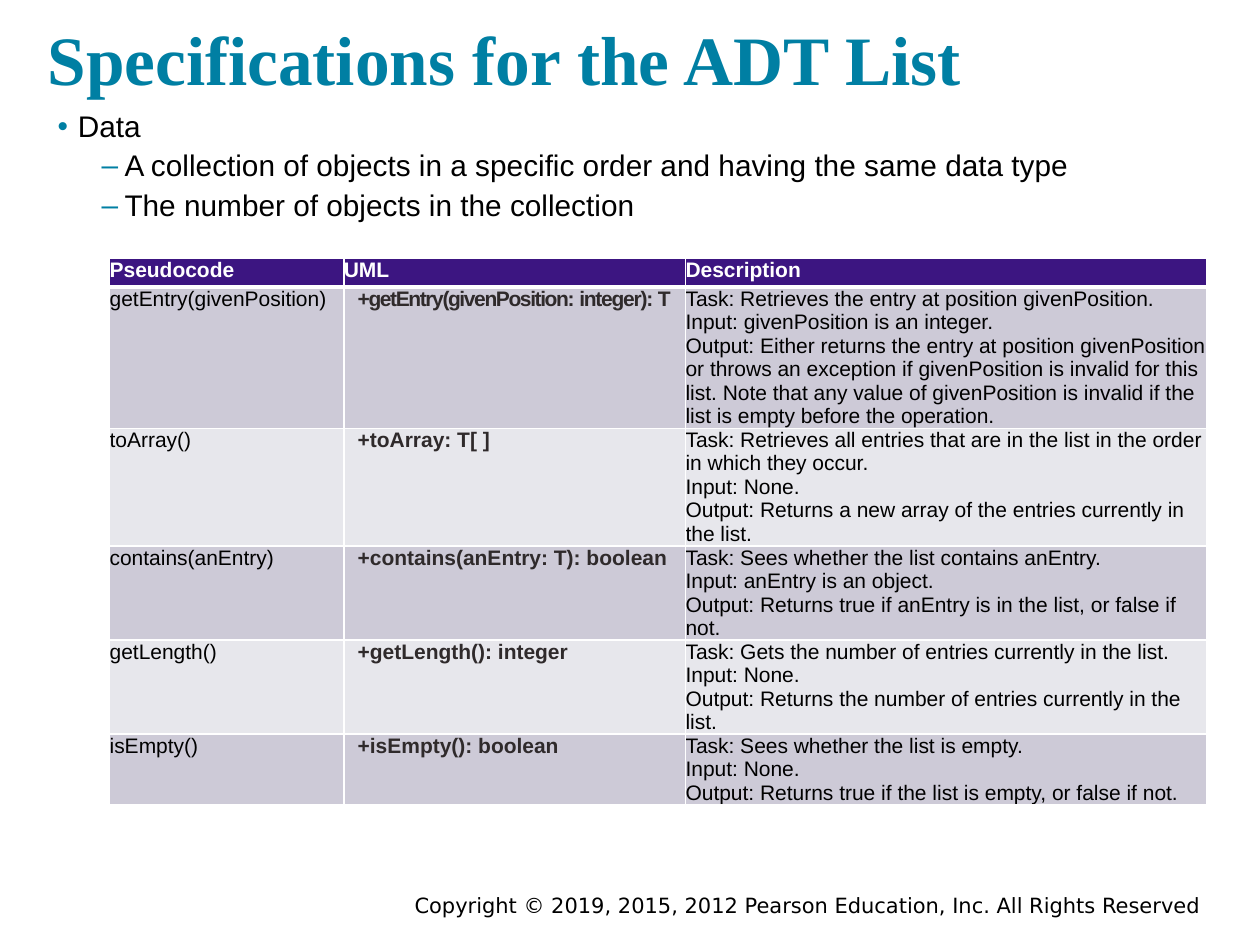
from lxml import etree
from pptx import Presentation
from pptx.dml.color import RGBColor
from pptx.enum.text import MSO_ANCHOR, MSO_AUTO_SIZE, PP_ALIGN
from pptx.oxml.ns import qn
from pptx.util import Cm, Pt

LEFT, RIGHT = PP_ALIGN.LEFT, PP_ALIGN.RIGHT
TOP, BOTTOM = MSO_ANCHOR.TOP, MSO_ANCHOR.BOTTOM
NO_FIT = MSO_AUTO_SIZE.NONE
TEAL = RGBColor(0x00, 0x7F, 0xA3)
BLACK = RGBColor(0x00, 0x00, 0x00)
WHITE = RGBColor(0xFF, 0xFF, 0xFF)
DARK = RGBColor(0x2F, 0x2A, 0x2B)
PURPLE = RGBColor(0x3C, 0x15, 0x81)
BANDS = (RGBColor(0xCD, 0xCA, 0xD7), RGBColor(0xE7, 0xE7, 0xEC))

POINTS = [
    (0, "Data"),
    (1, "A collection of objects in a specific order and having the same data type"),
    (1, "The number of objects in the collection"),
]
BULLETS = (("•", 0.61, -0.41), ("–", 1.55, -0.46))
WIDTHS = (4.72, 6.89, 10.5)
HEADS = ("Pseudocode", "UML", "Description")
ROWS = [
    ("getEntry(givenPosition)",
     [("+getEntry(givenPosition: ", -80), ("integer): ", -70), ("T", -80)],
     ["Task: Retrieves the entry at position givenPosition.",
      "Input: givenPosition is an integer.",
      "Output: Either returns the entry at position givenPosition or throws an "
      "exception if givenPosition is invalid for this list. Note that any value of "
      "givenPosition is invalid if the list is empty before the operation."]),
    ("toArray()", [("+toArray: T[ ]", 0)],
     ["Task: Retrieves all entries that are in the list in the order in which they occur.",
      "Input: None.",
      "Output: Returns a new array of the entries currently in the list."]),
    ("contains(anEntry)", [("+contains(anEntry: T): boolean", 0)],
     ["Task: Sees whether the list contains anEntry.",
      "Input: anEntry is an object.",
      "Output: Returns true if anEntry is in the list, or false if not."]),
    ("getLength()", [("+getLength(): integer", 0)],
     ["Task: Gets the number of entries currently in the list.",
      "Input: None.",
      "Output: Returns the number of entries currently in the list."]),
    ("isEmpty()", [("+isEmpty(): boolean", 0)],
     ["Task: Sees whether the list is empty.",
      "Input: None.",
      "Output: Returns true if the list is empty, or false if not."]),
]


def place(shape, left, top, width, height):
    """Move and size a shape, in centimetres."""
    shape.left, shape.top = Cm(left), Cm(top)
    shape.width, shape.height = Cm(width), Cm(height)


def pad(item, inset):
    """Give a text frame or cell the same inset on all sides."""
    item.margin_left = item.margin_right = Cm(inset)
    item.margin_top = item.margin_bottom = Cm(inset)


def add_run(para, text, size, color, bold=False, face="Arial", track=0):
    """Add one formatted run to a paragraph."""
    run = para.add_run()
    run.text = text
    font = run.font
    font.name, font.size, font.bold = face, Pt(size), bold
    font.color.rgb = color
    if track:
        run._r.get_or_add_rPr().set("spc", str(track))


def indent(para, left, first=0):
    """Set the left margin and first-line indent of a paragraph."""
    props = para._p.get_or_add_pPr()
    props.set("marL", str(Cm(left)))
    props.set("indent", str(Cm(first)))
    return props


def add_title(slide):
    """Fill the title placeholder."""
    title = slide.shapes.title
    place(title, 0.71, 0, 23.65, 2.26)
    frame = title.text_frame
    frame.auto_size, frame.vertical_anchor = NO_FIT, BOTTOM
    pad(frame, 0.25)
    para = frame.paragraphs[0]
    para.alignment = LEFT
    add_run(para, "Specifications for the ADT List", 39.6, TEAL, True, "Times New Roman")


def add_list(slide):
    """Fill the body placeholder with the bulleted points."""
    body = slide.placeholders[1]
    place(body, 0.71, 2.01, 22.86, 2.92)
    frame = body.text_frame
    frame.auto_size, frame.vertical_anchor = NO_FIT, TOP
    pad(frame, 0.25)
    for i, (level, text) in enumerate(POINTS):
        para = frame.add_paragraph() if i else frame.paragraphs[0]
        mark, left, first = BULLETS[level]
        props = indent(para, left, first)
        tint = etree.SubElement(props, qn("a:buClr"))
        etree.SubElement(tint, qn("a:srgbClr"), val=str(TEAL))
        etree.SubElement(props, qn("a:buFont"), typeface="Arial")
        etree.SubElement(props, qn("a:buChar"), char=mark)
        para.level = level
        para.line_spacing = 0.9
        para.space_before = Pt(4 if i else 0)
        add_run(para, text, 17, BLACK)


def style_cell(cell, fill, top=1, bottom=1):
    """Set the borders, insets and fill of a cell."""
    props = cell._tc.get_or_add_tcPr()
    for side, width in (("L", 1), ("R", 1), ("T", top), ("B", bottom)):
        line = etree.SubElement(props, qn("a:ln" + side), w=str(Pt(width)))
        solid = etree.SubElement(line, qn("a:solidFill"))
        etree.SubElement(solid, qn("a:srgbClr"), val=str(WHITE))
    pad(cell, 0)
    cell.fill.solid()
    cell.fill.fore_color.rgb = fill
    return cell.text_frame.paragraphs[0]


def add_grid(slide):
    """Add the table of list operations."""
    count = len(ROWS) + 1
    frame = slide.shapes.add_table(
        count, len(HEADS), Cm(2.21), Cm(5.21), Cm(sum(WIDTHS)), Cm(0.58 * count))
    table = frame.table
    for col, width in zip(table.columns, WIDTHS):
        col.width = Cm(width)
    for j, head in enumerate(HEADS):
        para = style_cell(table.cell(0, j), PURPLE, bottom=3)
        add_run(para, head, 12, WHITE, True)
    for i, (call, uml, notes) in enumerate(ROWS, 1):
        name, sign, about = [
            style_cell(table.cell(i, j), BANDS[(i - 1) % 2], top=3 if i == 1 else 1)
            for j in range(len(HEADS))]
        add_run(name, call, 12, BLACK)
        indent(sign, 0.28)
        for text, track in uml:
            add_run(sign, text, 12, DARK, True, track=track)
        for k, note in enumerate(notes):
            if k:
                about.add_line_break()
            add_run(about, note, 12, BLACK)


def add_footer(slide):
    """Add the copyright line."""
    box = slide.shapes.add_textbox(Cm(4.45), Cm(17.86), Cm(19.89), Cm(0.79))
    frame = box.text_frame
    frame.word_wrap = True
    pad(frame, 0.13)
    para = frame.paragraphs[0]
    para.alignment = RIGHT
    add_run(para, "Copyright © 2019, 2015, 2012 Pearson Education, Inc. All Rights Reserved",
            12, BLACK, face="DejaVu Sans")


def main():
    """Build the slide and save it."""
    deck = Presentation()
    deck.slide_width, deck.slide_height = Cm(25.4), Cm(19.05)
    slide = deck.slides.add_slide(deck.slide_layouts[1])
    add_title(slide)
    add_list(slide)
    add_grid(slide)
    add_footer(slide)
    deck.save("out.pptx")


if __name__ == "__main__":
    main()
